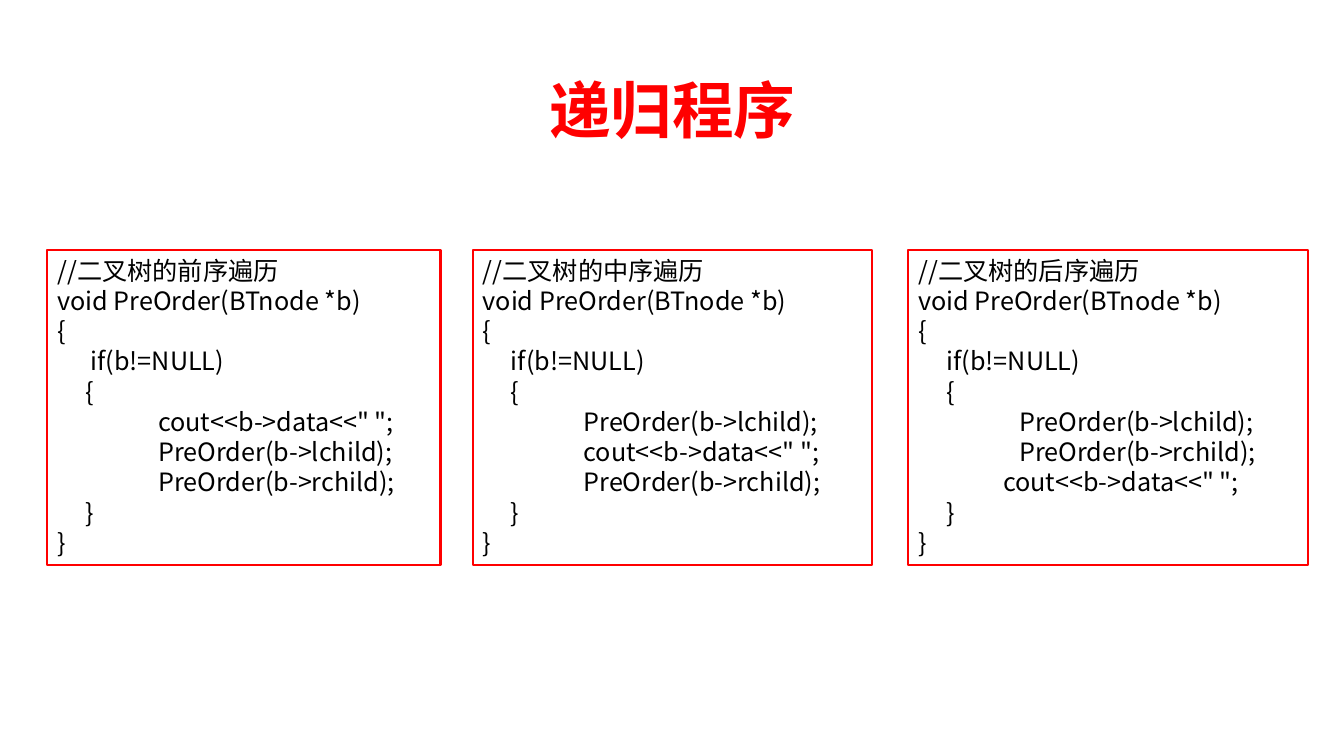
import pptx
import pptx.util
import pptx.dml.color
import pptx.enum.shapes
import pptx.enum.text
from lxml import etree
from pptx.util import Inches, Pt

TITLE = "递归程序"
RED, BLACK = "FF0000", "000000"
TITLE_FONT, CODE_FONT = "Noto Sans CJK JP", "Noto Sans CJK SC"

VISIT = 'cout<<b->data<<" ";'
LEFT_CALL = "PreOrder(b->lchild);"
RIGHT_CALL = "PreOrder(b->rchild);"
BLOCK, BODY = 0.28, 1.0  # indents in inches

# left, width, order name, indent of "if", (indent, statement) in the body
PANELS = [
    (0.47, 3.9, "前", 0.33, [(BODY, VISIT), (BODY, LEFT_CALL), (BODY, RIGHT_CALL)]),
    (4.69, 3.96, "中", BLOCK, [(BODY, LEFT_CALL), (BODY, VISIT), (BODY, RIGHT_CALL)]),
    (9.01, 3.96, "后", BLOCK, [(BODY, LEFT_CALL), (BODY, RIGHT_CALL), (0.84, VISIT)]),
]
PANEL_TOP, PANEL_HEIGHT = 2.48, 3.13


def rgb(color):
    return pptx.dml.color.RGBColor.from_string(color)


def style(p, font, size, color, bold=False):
    """Format every run, for Latin and East Asian letters alike."""
    for r in p.runs:
        r.font.name, r.font.size, r.font.bold = font, Pt(size), bold
        r.font.color.rgb = rgb(color)
        ea = etree.Element(pptx.oxml.ns.qn("a:ea"), typeface=font)
        r._r.get_or_add_rPr().find(pptx.oxml.ns.qn("a:latin")).addnext(ea)


def add_title(s):
    tf = s.shapes.add_textbox(Inches(0.92), Inches(0.4), Inches(11.5), Inches(1.45)).text_frame
    tf.word_wrap = True
    tf.vertical_anchor = pptx.enum.text.MSO_ANCHOR.MIDDLE
    p = tf.paragraphs[0]
    p.text = TITLE
    p.alignment = pptx.enum.text.PP_ALIGN.CENTER
    p.line_spacing = 0.9
    style(p, TITLE_FONT, 44, RED, bold=True)


def add_panel(s, left, width, order, if_indent, body):
    sp = s.shapes.add_shape(pptx.enum.shapes.MSO_SHAPE.RECTANGLE, Inches(left),
                            Inches(PANEL_TOP), Inches(width), Inches(PANEL_HEIGHT))
    sp.shadow.inherit = False
    sp.fill.background()
    sp.line.color.rgb = rgb(RED)
    sp.line.width = Pt(1.5)

    lines = [(0, f"//二叉树的{order}序遍历"), (0, "void PreOrder(BTnode *b)"), (0, "{"),
             (if_indent, "if(b!=NULL)"), (BLOCK, "{"), *body, (BLOCK, "}"), (0, "}")]
    tf = sp.text_frame
    tf.word_wrap = True
    tf.auto_size = pptx.enum.text.MSO_AUTO_SIZE.SHAPE_TO_FIT_TEXT
    tf.vertical_anchor = pptx.enum.text.MSO_ANCHOR.TOP
    tf.text = "\n".join(text for _, text in lines)
    for p, (indent, _) in zip(tf.paragraphs, lines):
        p.alignment = pptx.enum.text.PP_ALIGN.LEFT
        p._p.get_or_add_pPr().set("marL", str(Inches(indent)))
        style(p, CODE_FONT, 18, BLACK)


def main():
    prs = pptx.Presentation()
    prs.slide_width, prs.slide_height = Inches(13.33), Inches(7.5)
    s = prs.slides.add_slide(prs.slide_layouts[6])
    add_title(s)
    for panel in PANELS:
        add_panel(s, *panel)
    prs.save("out.pptx")


if __name__ == "__main__":
    main()
